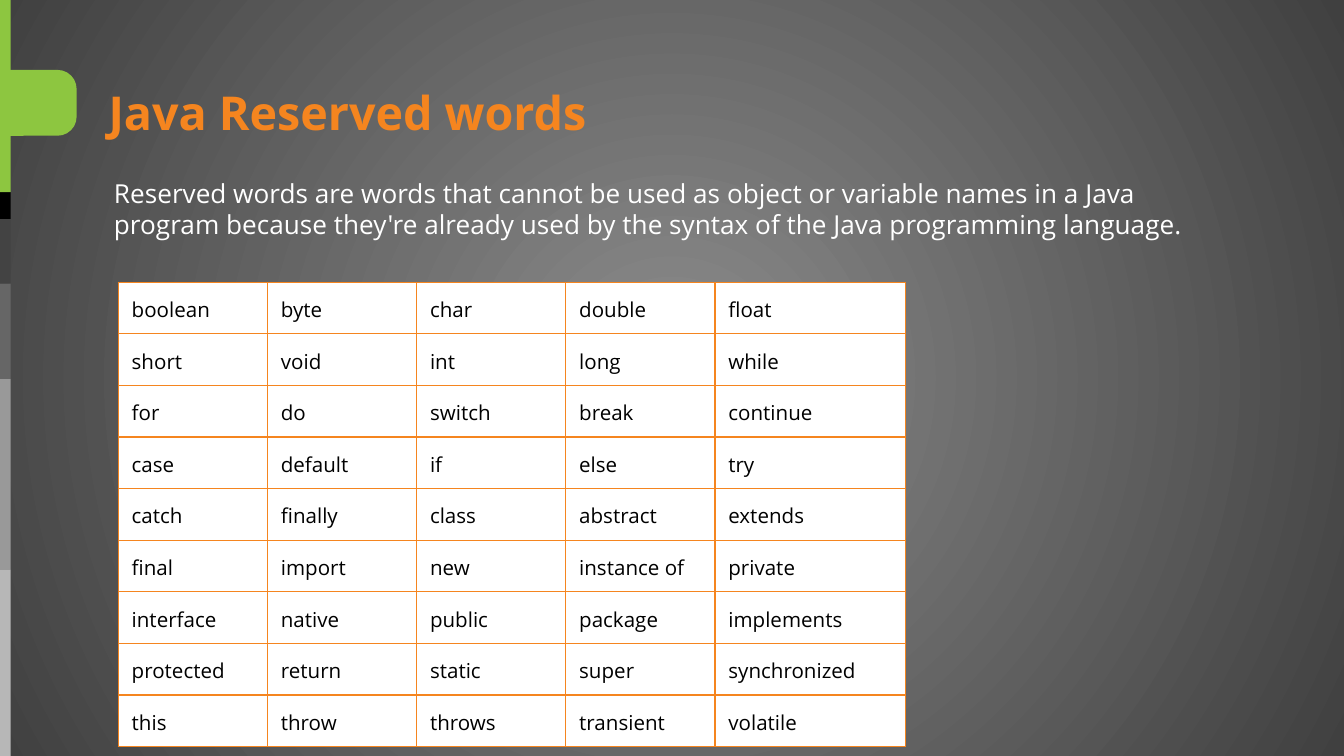
from itertools import pairwise

from lxml import etree
from pptx import Presentation
from pptx.dml.color import RGBColor
from pptx.enum.shapes import MSO_SHAPE
from pptx.enum.text import MSO_ANCHOR
from pptx.oxml import parse_xml
from pptx.oxml.ns import nsdecls, qn
from pptx.util import Inches, Pt

RECT = MSO_SHAPE.RECTANGLE
TAB = MSO_SHAPE.ROUND_2_SAME_RECTANGLE
TOP = MSO_ANCHOR.TOP

WHITE = RGBColor(0xFF, 0xFF, 0xFF)
BLACK = RGBColor(0x00, 0x00, 0x00)
ORANGE = RGBColor(0xF5, 0x85, 0x1F)
GREEN = RGBColor(0x8D, 0xC6, 0x40)
INNER = RGBColor(0x8C, 0x8C, 0x8C)
OUTER = RGBColor(0x40, 0x40, 0x40)
BARS = [GREEN, GREEN, BLACK, RGBColor(0x43, 0x43, 0x43), RGBColor(0x66, 0x66, 0x66),
        RGBColor(0x99, 0x99, 0x99), RGBColor(0xB7, 0xB7, 0xB7)]

WIDE = 10
HIGH = WIDE * 9 / 16
EDGES = [0, 1.05, 1.43, 1.63, 2.11, 2.82, 4.24, HIGH]

INTRO = ("Reserved words are words that cannot be used as object or variable names "
         "in a Java program because they're already used by the syntax of the Java "
         "programming language.")
WORDS = [
    ["boolean", "byte", "char", "double", "float"],
    ["short", "void", "int", "long", "while"],
    ["for", "do", "switch", "break", "continue"],
    ["case", "default", "if", "else", "try"],
    ["catch", "finally", "class", "abstract", "extends"],
    ["final", "import", "new", "instance of", "private"],
    ["interface", "native", "public", "package", "implements"],
    ["protected", "return", "static", "super", "synchronized"],
    ["this", "throw", "throws", "transient", "volatile"],
]


class Deck:
    font = "Open Sans"
    pad = Inches(0.1)

    def __init__(self, slide):
        self.slide = slide

    def glow(self, inner, outer):
        """Fill the background with a gradient that spreads from the centre."""
        fill = self.slide.background.fill
        fill.gradient()
        for stop, color in zip(fill.gradient_stops, (inner, outer)):
            stop.color.rgb = color
        lin = self.slide.element.find(".//" + qn("a:lin"))
        ring = etree.Element(qn("a:path"), path="circle")
        etree.SubElement(ring, qn("a:fillToRect"),
                         dict.fromkeys("ltrb", "50000"))
        lin.getparent().replace(lin, ring)

    def shape(self, kind, box, color):
        item = self.slide.shapes.add_shape(kind, *map(Inches, box))
        item.shadow.inherit = False
        item.fill.solid()
        item.fill.fore_color.rgb = color
        item.line.fill.background()
        return item

    def run(self, para, text, size, color, bold=False):
        run = para.add_run()
        run.text = text
        font = run.font
        font.name, font.size, font.bold = self.font, Pt(size), bold
        font.color.rgb = color

    def inset(self, item):
        item.margin_left = item.margin_right = self.pad
        item.margin_top = item.margin_bottom = self.pad

    def text(self, box, text, size, color, bold=False):
        frame = self.slide.shapes.add_textbox(*map(Inches, box)).text_frame
        frame.word_wrap = True
        frame.vertical_anchor = TOP
        self.inset(frame)
        para = frame.paragraphs[0]
        self.run(para, text, size, color, bold)
        return para

    def border(self, cell, color, width):
        props = cell._tc.get_or_add_tcPr()
        for side in ("lnL", "lnR", "lnT", "lnB"):
            props.append(parse_xml(
                f'<a:{side} {nsdecls("a")} w="{Pt(width)}"><a:solidFill>'
                f'<a:srgbClr val="{color}"/></a:solidFill></a:{side}>'))

    def table(self, left, top, widths, height, rows):
        table = self.slide.shapes.add_table(
            len(rows), len(widths), Inches(left), Inches(top),
            Inches(sum(widths)), Inches(height)).table
        table.first_row = table.horz_banding = False
        for col, width in zip(table.columns, widths):
            col.width = Inches(width)
        for cell, word in zip(table.iter_cells(), sum(rows, [])):
            self.inset(cell)
            self.border(cell, ORANGE, 0.75)
            cell.fill.solid()
            cell.fill.fore_color.rgb = WHITE
            self.run(cell.text_frame.paragraphs[0], word, 11, BLACK)


def main():
    prs = Presentation()
    prs.slide_width, prs.slide_height = Inches(WIDE), Inches(HIGH)
    deck = Deck(prs.slides.add_slide(prs.slide_layouts[6]))

    deck.glow(INNER, OUTER)
    for (top, end), color in reversed(list(zip(pairwise(EDGES), BARS))):
        deck.shape(RECT, (0, top, 0.08, end - top), color)
    tab = deck.shape(TAB, (0.04, 0.48, 0.49, 0.57), GREEN)
    tab.rotation = 90
    tab.adjustments[0] = 0.29
    tab.adjustments[1] = 0

    intro = deck.text((0.75, 1.22, 8.5, 2.69), INTRO, 14, WHITE)
    intro.space_before = Pt(10)
    title = deck.text((0.71, 0.46, 7.83, 0.62), "Java Reserved words", 25, ORANGE, True)
    title.line_spacing = 1.15
    deck.table(0.88, 2.1, [1.11] * 4 + [1.42], 3.45, WORDS)

    prs.save("out.pptx")


if __name__ == "__main__":
    main()
